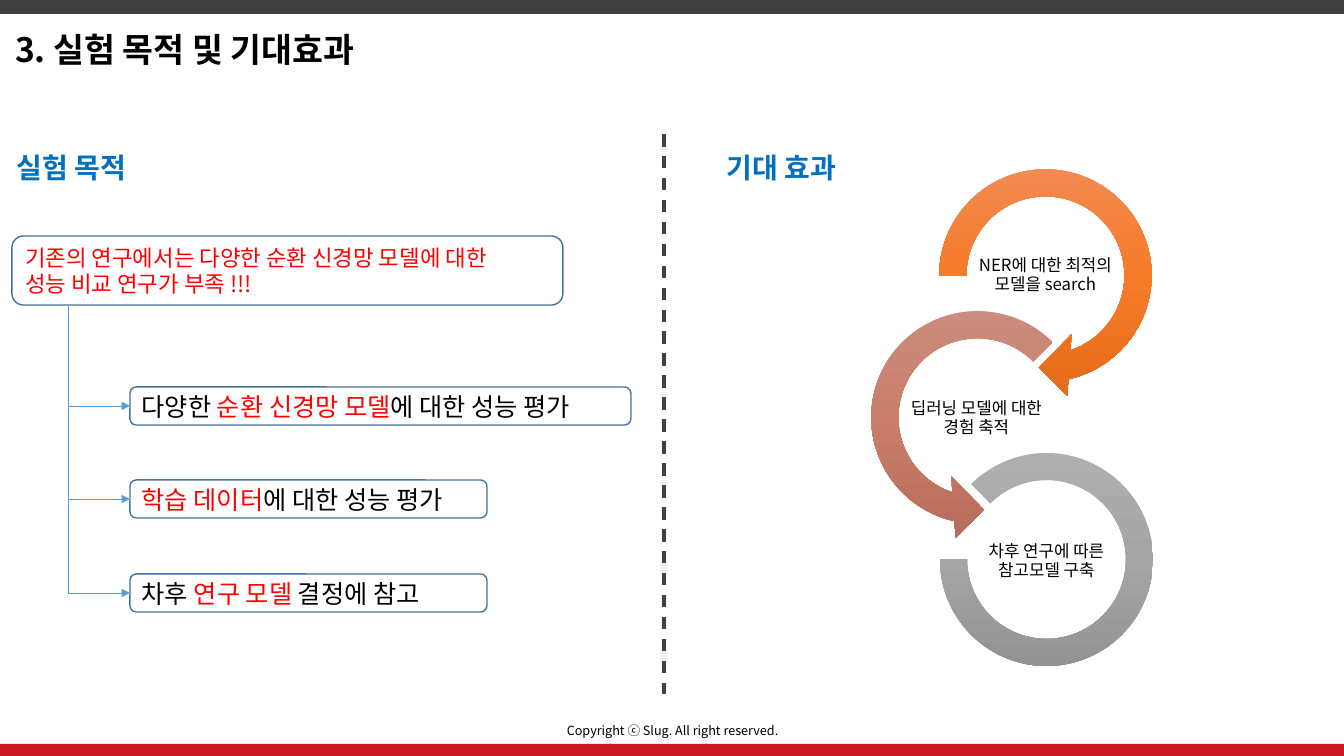
from copy import deepcopy

from lxml import etree
from pptx import Presentation
from pptx import util as u
from pptx.dml.color import RGBColor
from pptx.enum import dml, shapes, text
from pptx.oxml import ns

PX = 914400 / 100.8
FONT = "Noto Sans CJK KR"
BLACK = RGBColor(0x00, 0x00, 0x00)
DARK = RGBColor(0x40, 0x40, 0x40)
CRIMSON = RGBColor(0xCB, 0x18, 0x25)
RED = RGBColor(0xFF, 0x00, 0x00)
BLUE = RGBColor(0x00, 0x70, 0xC0)
OUTLINE = RGBColor(0x43, 0x73, 0x9E)
BRANCH = RGBColor(0x5B, 0x9B, 0xD5)
ORANGES = [RGBColor(0xF1, 0x8C, 0x57), RGBColor(0xF6, 0x7B, 0x28), RGBColor(0xE5, 0x6C, 0x19)]
CLAYS = [RGBColor(0xCB, 0x8F, 0x81), RGBColor(0xC9, 0x7E, 0x6B), RGBColor(0xB7, 0x6D, 0x5B)]
GREYS = [RGBColor(0xAF, 0xAF, 0xAF), RGBColor(0xA5, 0xA5, 0xA5), RGBColor(0x93, 0x93, 0x93)]
KIND = shapes.MSO_SHAPE
CENTER, LEFT = text.PP_ALIGN.CENTER, text.PP_ALIGN.LEFT


def px(*lengths):
    return [u.Emu(round(length * PX)) for length in lengths]


def write(holder, lines, size, bold=False, align=LEFT, margin=10, spacing=None):
    """Fill holder with lines, each a list of (words, colour) pairs."""
    frame = holder.text_frame
    side, = px(margin)
    layout = {"word_wrap": True, "auto_size": text.MSO_AUTO_SIZE.NONE,
              "vertical_anchor": text.MSO_ANCHOR.MIDDLE,
              "margin_left": side, "margin_right": side,
              "margin_top": 0, "margin_bottom": 0}
    for key, value in layout.items():
        setattr(frame, key, value)
    for number, line in enumerate(lines):
        paragraph = frame.add_paragraph() if number else frame.paragraphs[0]
        paragraph.alignment = align
        paragraph.line_spacing = spacing
        for words, colour in line:
            run = paragraph.add_run()
            run.text = words
            for key, value in {"size": u.Pt(size), "bold": bold, "name": FONT}.items():
                setattr(run.font, key, value)
            run.font.color.rgb = colour
            east_asian = etree.SubElement(run.font._element, ns.qn("a:ea"))
            east_asian.set("typeface", FONT)


deck = Presentation()
deck.slide_width, deck.slide_height = px(1344, 756)
slide = deck.slides.add_slide(deck.slide_layouts[5])
canvas = slide.shapes

# Frame of the page
for top, height, colour in [(744, 12, CRIMSON), (0, 14, DARK)]:
    band = canvas.add_shape(KIND.RECTANGLE, *px(0, top, 1344, height))
    band.shadow.inherit = False
    band.fill.solid()
    band.fill.fore_color.rgb = colour
    band.line.fill.background()

title = canvas.title
title.left, title.top, title.width, title.height = px(5, 24, 432, 50)
write(title, [[("3. 실험 목적 및 기대효과", BLACK)]], 24, bold=True)

copyright_line = canvas.add_textbox(*px(513, 718, 319, 25))
write(copyright_line, [[("Copyright ⓒ Slug. All right reserved.", BLACK)]], 9, align=CENTER)

for left, heading in [(7, "실험 목적"), (717, "기대 효과")]:
    section = canvas.add_textbox(*px(left, 145, 245, 44))
    write(section, [[(heading, BLUE)]], 20, bold=True)

# Purpose tree
PURPOSES = [
    ((12, 236, 551, 69), 16, [[("기존의 연구에서는 다양한 순환 신경망 모델에 대한", RED)],
                              [("성능 비교 연구가 부족 !!!", RED)]]),
    ((130, 387, 501, 38), 18, [[("다양한 ", BLACK), ("순환 신경망 모델", RED),
                                ("에 대한 성능 평가", BLACK)]]),
    ((130, 480, 357, 38), 18, [[("학습 데이터", RED), ("에 대한 성능 평가", BLACK)]]),
    ((130, 574, 357, 38), 18, [[("차후 ", BLACK), ("연구 모델 ", RED), ("결정에 참고", BLACK)]]),
]
boxes = []
for place, size, lines in PURPOSES:
    box = canvas.add_shape(KIND.ROUNDED_RECTANGLE, *px(*place))
    box.shadow.inherit = False
    box.fill.background()
    box.line.color.rgb = OUTLINE
    box.line.width = u.Pt(1)
    write(box, lines, size)
    boxes.append(box)

# Trunk, branches and the divider between the halves
TRUNK_X = 68
LINES = [((TRUNK_X, 305, TRUNK_X, 593), BRANCH, 0.5, None),
         ((664, 134, 664, 694), DARK, 2.25, None)]
for ((left, top, _, height), _, _), goal in zip(PURPOSES[1:], boxes[1:]):
    middle = top + height // 2
    LINES.append(((TRUNK_X, middle, left, middle), BRANCH, 0.5, goal))
for ends, colour, width, goal in LINES:
    connector = canvas.add_connector(shapes.MSO_CONNECTOR.STRAIGHT, *px(*ends))
    connector.line.color.rgb = colour
    connector.line.width = u.Pt(width)
    if colour == DARK:
        connector.line.dash_style = dml.MSO_LINE.DASH
    if goal is not None:
        connector.end_connect(goal, 1)
        etree.SubElement(connector.line._get_or_add_ln(), ns.qn("a:tailEnd"), type="triangle")
    etree.SubElement(connector._element.spPr, ns.qn("a:effectLst"))

# Chain of expected effects
EFFECTS = [
    (KIND.CIRCULAR_ARROW, (922, 152, 247, 247), [0.11, 11.42, 45, 108, 0.125], ORANGES,
     (977, 241, 137, 69), "NER에 대한 최적의 모델을 search"),
    (KIND.LEFT_CIRCULAR_ARROW, (854, 294, 247, 247), [0.11, 11.42, 63, 189, 0.125], CLAYS,
     (908, 384, 137, 69), "딥러닝 모델에 대한 경험 축적"),
    (KIND.BLOCK_ARC, (940, 453, 213, 213), [135, 108, 0.127], GREYS,
     (975, 527, 143, 69), "차후 연구에 따른 참고모델 구축"),
]
for kind, place, adjustments, colours, label_place, words in EFFECTS:
    ring = canvas.add_shape(kind, *px(*place))
    ring.shadow.inherit = False
    ring.line.fill.background()
    for number, value in enumerate(adjustments):
        ring.adjustments[number] = value
    ring.fill.gradient()
    ring.fill.gradient_angle = 270
    stop_list = ring._element.spPr.find(".//" + ns.qn("a:gsLst"))
    stop_list.append(deepcopy(stop_list[-1]))
    for stop, position, colour in zip(ring.fill.gradient_stops, (0, 0.5, 1), colours):
        stop.position = position
        stop.color.rgb = colour
    label = canvas.add_textbox(*px(*label_place))
    write(label, [[(words, BLACK)]], 12, align=CENTER, margin=1, spacing=0.9)

deck.save("out.pptx")
